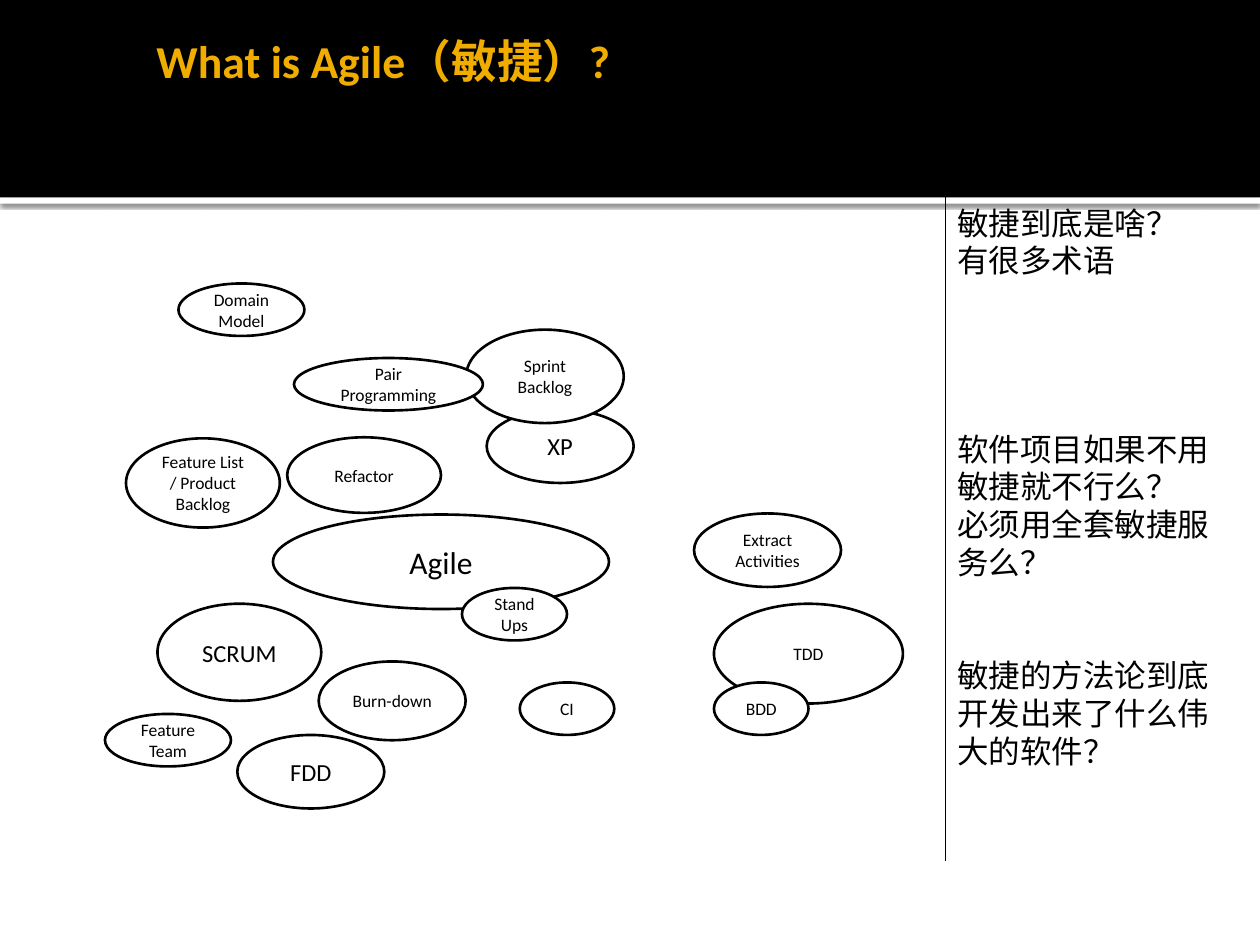
import lxml.etree
import pptx
import pptx.dml.color
import pptx.enum.shapes
import pptx.enum.text
import pptx.oxml
import pptx.oxml.ns
import pptx.util

BLACK = pptx.dml.color.RGBColor(0x00, 0x00, 0x00)
WHITE = pptx.dml.color.RGBColor(0xFF, 0xFF, 0xFF)
GOLD = pptx.dml.color.RGBColor(0xF0, 0xAD, 0x00)
FONT = "Calibri"
COLUMNS, ROWS = 120, 90
WIDTH, HEIGHT = pptx.util.Inches(10), pptx.util.Inches(7.5)
HEADER_ROWS, STRIP_ROWS = 18.8, 0.6
DIVIDER_COLUMN = 90

TERMS = [
    ("Feature List / Product\vBacklog", 10, 12, 41.75, 14.65, 8.5),
    ("Agile", 18, 26, 49, 32, 9),
    ("SCRUM", 14, 15, 57.5, 15.6, 9.25),
    ("XP", 14, 46.35, 39, 14, 7),
    ("FDD", 14, 22.6, 70, 14, 7),
    ("TDD", 10, 68, 57.5, 18, 9.5),
    ("BDD", 10, 68, 65, 9, 5),
    ("CI", 10, 49.5, 65, 9, 5),
    ("Burn-down", 10, 30.35, 63, 14, 7.5),
    ("Refactor", 10, 27.35, 41.65, 14.65, 7.2),
    ("Stand Ups", 10, 44, 56, 10, 5),
    ("Sprint\vBacklog", 10, 44.4, 31.4, 15, 8.9),
    ("Feature Team", 10, 10, 68, 12, 5),
    ("Pair Programming", 10, 28, 34.1, 18, 5),
    ("Extract Activities", 10, 66.1, 48.9, 14, 7),
    ("Domain Model", 10, 17, 27, 12, 5),
]
QUESTIONS = [
    ("敏捷到底是啥？", 0),
    ("有很多术语", 0),
    ("软件项目如果不用敏捷就不行么？", 86),
    ("必须用全套敏捷服务么？", 0),
    ("敏捷的方法论到底开发出来了什么伟大的软件？", 43),
]


def column(count):
    return int(WIDTH * count / COLUMNS)


def row(count):
    return int(HEIGHT * count / ROWS)


def area(left, top, width, height):
    return column(left), row(top), column(width), row(height)


def apply_format(target, values):
    for name, value in values.items():
        setattr(target, name, value)


def write(para, text, size, color=BLACK, bold=False):
    para.text = text
    apply_format(para.font, {"size": pptx.util.Pt(size), "name": FONT, "bold": bold})
    para.font.color.rgb = color


def add_filled(page, kind, place, color):
    shape = page.shapes.add_shape(kind, *area(*place))
    shape.shadow.inherit = False
    shape.fill.solid()
    shape.fill.fore_color.rgb = color
    shape.line.fill.background()
    return shape


def add_header(page):
    rectangle = pptx.enum.shapes.MSO_SHAPE.RECTANGLE
    strip = add_filled(page, rectangle, (0, HEADER_ROWS, COLUMNS, STRIP_ROWS), WHITE)
    effects = strip._element.spPr.find(pptx.oxml.ns.qn("a:effectLst"))
    effects.append(pptx.oxml.parse_xml(
        f'<a:outerShdw {pptx.oxml.ns.nsdecls("a")} blurRad="{pptx.util.Pt(2.5)}" '
        f'dist="{pptx.util.Pt(0.8)}" dir="5400000" algn="tl" rotWithShape="0">'
        '<a:srgbClr val="000000"><a:alpha val="60000"/></a:srgbClr></a:outerShdw>'))
    add_filled(page, rectangle, (0, 0, COLUMNS, HEADER_ROWS), BLACK)


def add_title(page, text):
    title = page.shapes.title
    page.shapes._spTree.append(title._element)
    left, top, width, height = area(13.7, 2.5, 92.15, 6.5)
    apply_format(title, {"left": left, "top": top, "width": width, "height": height})
    inset = pptx.util.Inches(0.05)
    apply_format(title.text_frame, {
        "margin_left": 2 * inset, "margin_right": inset,
        "margin_top": inset, "margin_bottom": inset, "word_wrap": True,
        "auto_size": pptx.enum.text.MSO_AUTO_SIZE.NONE,
        "vertical_anchor": pptx.enum.text.MSO_ANCHOR.MIDDLE})
    para = title.text_frame.paragraphs[0]
    write(para, text, 26.1, GOLD, True)
    para.alignment = pptx.enum.text.PP_ALIGN.LEFT


def add_term(page, text, size, *place):
    bubble = add_filled(page, pptx.enum.shapes.MSO_SHAPE.OVAL, place, WHITE)
    bubble.line.color.rgb = BLACK
    bubble.line.width = pptx.util.Pt(1.5)
    apply_format(bubble.text_frame, {
        "word_wrap": True, "vertical_anchor": pptx.enum.text.MSO_ANCHOR.MIDDLE})
    para = bubble.text_frame.paragraphs[0]
    write(para, text, size)
    para.alignment = pptx.enum.text.PP_ALIGN.CENTER


def add_divider(page):
    divider = page.shapes.add_connector(
        pptx.enum.shapes.MSO_CONNECTOR.STRAIGHT,
        column(DIVIDER_COLUMN), row(10), column(DIVIDER_COLUMN), row(82))
    divider.line.color.rgb = BLACK
    divider.line.width = pptx.util.Pt(0.5)
    lxml.etree.SubElement(divider._element.spPr, pptx.oxml.ns.qn("a:effectLst"))


def add_questions(page):
    box = page.shapes.add_textbox(*area(DIVIDER_COLUMN, HEADER_ROWS, 29, 55.7))
    frame = box.text_frame
    frame.word_wrap = True
    for index, (text, gap) in enumerate(QUESTIONS):
        para = frame.add_paragraph() if index else frame.paragraphs[0]
        write(para, text, 18)
        if gap:
            para.space_before = pptx.util.Pt(gap)


def main():
    deck = pptx.Presentation()
    apply_format(deck, {"slide_width": WIDTH, "slide_height": HEIGHT})
    page = deck.slides.add_slide(deck.slide_layouts.get_by_name("Title Only"))
    add_header(page)
    add_title(page, "What is Agile（敏捷）?")
    for term in TERMS:
        add_term(page, *term)
    add_divider(page)
    add_questions(page)
    deck.save("out.pptx")


if __name__ == "__main__":
    main()
